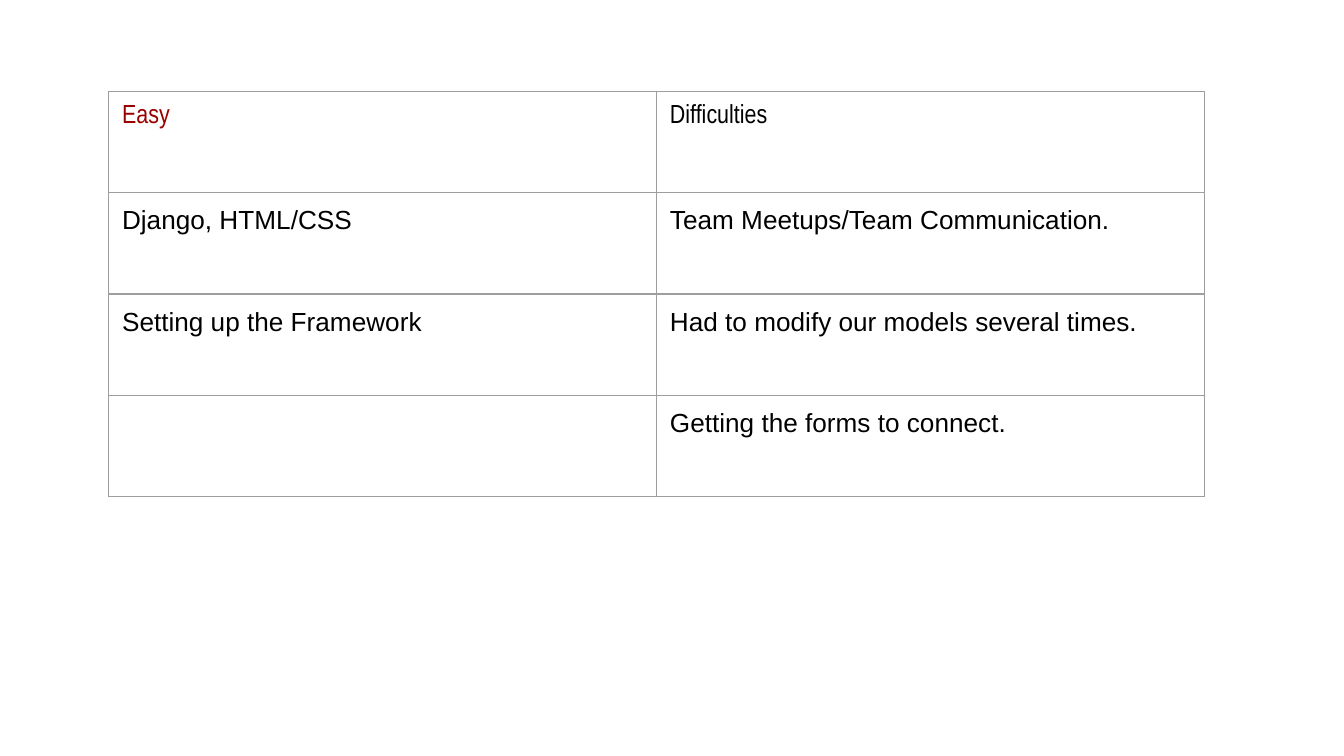
from lxml.etree import SubElement
from pptx import Presentation
from pptx.dml.color import RGBColor
from pptx.oxml.ns import qn
from pptx.util import Pt

BLACK = RGBColor(0x00, 0x00, 0x00)
RED = RGBColor(0x99, 0x00, 0x00)
GREY = RGBColor(0x9E, 0x9E, 0x9E)

HEADERS = [("Easy", RED), ("Difficulties", BLACK)]
ROWS = [
    ("Django, HTML/CSS", "Team Meetups/Team Communication."),
    ("Setting up the Framework", "Had to modify our models several times."),
    ("", "Getting the forms to connect."),
]


def write(tf, text, size=14, font="Arial", color=BLACK):
    p = tf.paragraphs[0]
    if not text:
        p.font.size = Pt(size)
        return
    r = p.add_run()
    r.text = text
    r.font.size = Pt(size)
    r.font.name = font
    r.font.bold = False
    r.font.color.rgb = color


def style_cell(cell, inset=7.2, border=0.75):
    cell.margin_left = cell.margin_right = Pt(inset)
    cell.margin_top = cell.margin_bottom = Pt(inset)
    # Borders come before the fill in the cell properties
    tc_pr = cell._tc.get_or_add_tcPr()
    for side in ("a:lnL", "a:lnR", "a:lnT", "a:lnB"):
        ln = SubElement(tc_pr, qn(side), w=str(Pt(border)))
        fill = SubElement(ln, qn("a:solidFill"))
        SubElement(fill, qn("a:srgbClr"), val=str(GREY))
    cell.fill.background()


def add_comparison_table(slide, left, top, width, height):
    frame = slide.shapes.add_table(len(ROWS) + 1, len(HEADERS), Pt(left),
                                   Pt(top), Pt(width), Pt(height))
    table = frame.table
    table.first_row = table.horz_banding = False
    for cell in table.iter_cells():
        style_cell(cell)

    # Header row
    for col, (text, color) in enumerate(HEADERS):
        write(table.cell(0, col).text_frame, text, font="Arial Narrow",
              color=color)

    # Body rows
    for row, texts in enumerate(ROWS, start=1):
        for col, text in enumerate(texts):
            write(table.cell(row, col).text_frame, text)


def main():
    prs = Presentation()
    prs.slide_width, prs.slide_height = Pt(720), Pt(405)
    slide = prs.slides.add_slide(prs.slide_layouts[6])
    add_comparison_table(slide, left=58.2, top=49, width=587, height=217)
    prs.save("out.pptx")


if __name__ == "__main__":
    main()
